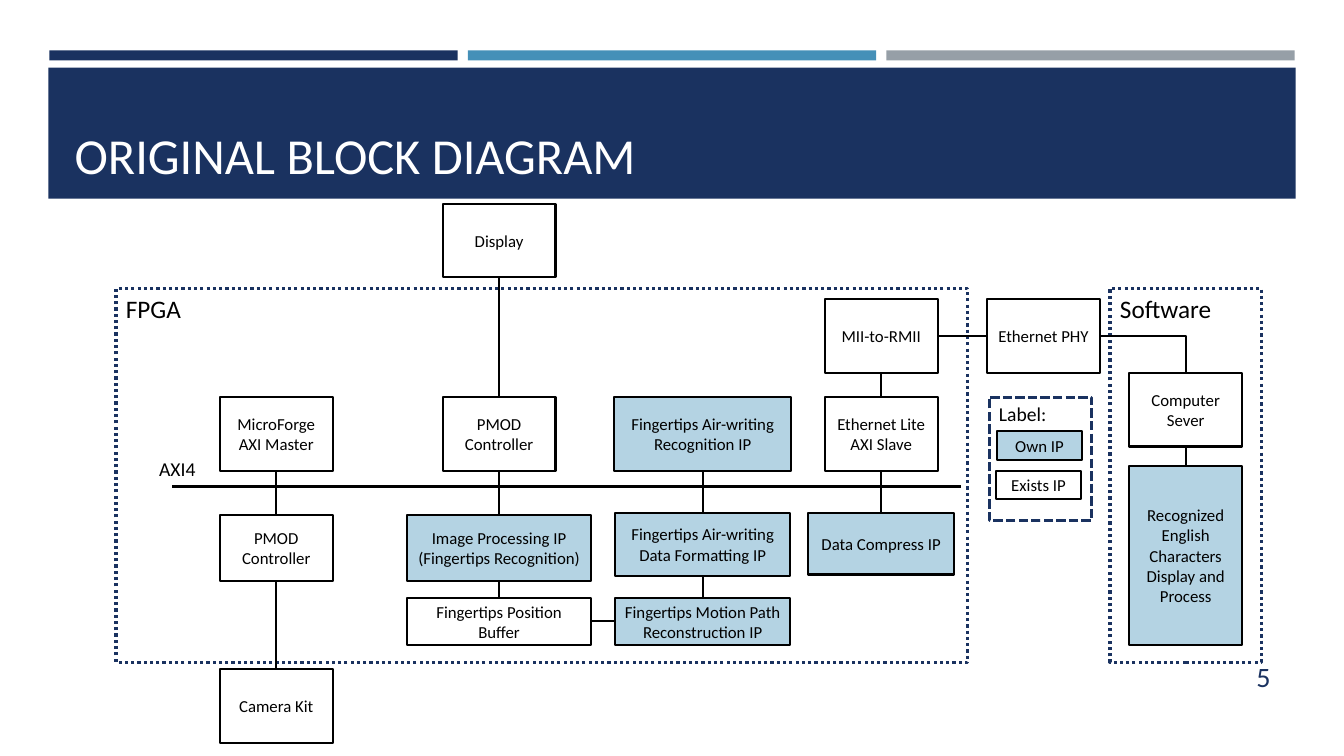
import pptx
import pptx.util
import pptx.dml.color
import pptx.enum.dml
import pptx.enum.shapes
import pptx.enum.text
import pptx.oxml.ns
import lxml.etree

Inches, Pt = pptx.util.Inches, pptx.util.Pt
ALIGN, ANCHOR = pptx.enum.text.PP_ALIGN, pptx.enum.text.MSO_ANCHOR
DASH = pptx.enum.dml.MSO_LINE
LINK = pptx.enum.shapes.MSO_CONNECTOR
NAVY, BLUE, GREY, LIGHT = "1A3260", "4590B8", "969FA7", "B4D3E3"
BLACK, WHITE = "000000", "FFFFFF"
TOP, LEFT, BOTTOM, RIGHT = range(4)


def rgb(color):
    return pptx.dml.color.RGBColor.from_string(color)


def write(sp, text, size, color=BLACK, align=ALIGN.LEFT, anchor=ANCHOR.TOP):
    tf = sp.text_frame
    tf.word_wrap = True
    tf.vertical_anchor = anchor
    for i, line in enumerate(text.split("\n")):
        p = tf.add_paragraph() if i else tf.paragraphs[0]
        p.alignment = align
        r = p.add_run()
        r.text = line
        r.font.name, r.font.size = "Calibri", Pt(size)
        r.font.color.rgb = rgb(color)


prs = pptx.Presentation()
prs.slide_width, prs.slide_height = Inches(13.33), Inches(7.5)
s = prs.slides.add_slide(prs.slide_layouts[5])

# Rectangles: left, top, width, height, fill, line colour, line width, dash, text
bands = [(0.49 + 4.15 * i, 0.5, 4.05, 0.1, fill, None, 0, None, "")
         for i, fill in enumerate((NAVY, BLUE, GREY))]
bands.append((0.48, 0.67, 12.37, 1.3, NAVY, None, 0, None, ""))
frames = [
    (1.15, 2.86, 8.45, 3.71, None, NAVY, 2.25, DASH.ROUND_DOT, ""),
    (11.01, 2.86, 1.5, 3.71, None, NAVY, 2.25, DASH.ROUND_DOT, ""),
    (9.81, 3.94, 1.02, 1.22, None, NAVY, 2.25, DASH.SQUARE_DOT, ""),
]

# Blocks of the diagram: centre x, top, width, height, fill, text
blocks = {
    "display": (4.95, 2.02, 1.12, 0.73, None, "Display"),
    "master": (2.74, 3.94, 1.12, 0.73, None, "MicroForge AXI Master"),
    "display_pmod": (4.95, 3.94, 1.12, 0.73, None, "PMOD Controller"),
    "recognition": (6.97, 3.94, 1.76, 0.73, LIGHT,
                    "Fingertips Air-writing Recognition IP"),
    "mii": (8.74, 2.97, 1.12, 0.73, None, "MII-to-RMII"),
    "ethernet": (8.74, 3.94, 1.12, 0.73, None, "Ethernet Lite\nAXI Slave"),
    "phy": (10.35, 2.97, 1.12, 0.73, None, "Ethernet PHY"),
    "camera_pmod": (2.74, 5.11, 1.12, 0.65, None, "PMOD Controller"),
    "camera": (2.74, 6.64, 1.12, 0.73, None, "Camera Kit"),
    "image": (4.95, 5.11, 1.82, 0.65, LIGHT,
              "Image Processing IP\n(Fingertips Recognition)"),
    "buffer": (4.95, 5.93, 1.82, 0.47, WHITE, "Fingertips Position Buffer"),
    "formatting": (6.97, 5.09, 1.74, 0.62, LIGHT,
                   "Fingertips Air-writing Data Formatting IP"),
    "motion": (6.97, 5.93, 1.74, 0.47, LIGHT,
               "Fingertips Motion Path Reconstruction IP"),
    "compress": (8.74, 5.09, 1.45, 0.61, LIGHT, "Data Compress IP"),
    "computer": (11.76, 3.7, 1.12, 0.73, None, "Computer Sever"),
    "process": (11.76, 4.62, 1.12, 1.78, LIGHT,
                "Recognized English Characters Display and Process"),
    "own": (10.31, 4.28, 0.85, 0.28, LIGHT, "Own IP"),
    "exists": (10.3, 4.67, 0.85, 0.28, None, "Exists IP"),
}
rects = bands + frames + [
    (cx - w / 2, top, w, h, fill, BLACK, 1.5, None, text)
    for cx, top, w, h, fill, text in blocks.values()]

drawn = []
for left, top, w, h, fill, line, weight, dash, text in rects:
    sp = s.shapes.add_shape(pptx.enum.shapes.MSO_SHAPE.RECTANGLE,
                            Inches(left), Inches(top), Inches(w), Inches(h))
    sp.shadow.inherit = False
    if fill:
        sp.fill.solid()
        sp.fill.fore_color.rgb = rgb(fill)
    else:
        sp.fill.background()
    if line:
        sp.line.color.rgb = rgb(line)
        sp.line.width = Pt(weight)
        sp.line.dash_style = dash
    else:
        sp.line.fill.background()
    if text:
        sp.text_frame.margin_left = sp.text_frame.margin_right = Inches(0.09)
        write(sp, text, 12, BLACK, ALIGN.CENTER, ANCHOR.MIDDLE)
    drawn.append(sp)
box = dict(zip(blocks, drawn[-len(blocks):]))

# Title, brought in front of its band
title = s.shapes.title
title.left, title.top = Inches(0.64), Inches(0.77)
title.width, title.height = Inches(12.06), Inches(1.11)
title.text_frame.auto_size = pptx.enum.text.MSO_AUTO_SIZE.NONE
write(title, "ORIGINAL BLOCK DIAGRAM", 36, WHITE, ALIGN.LEFT, ANCHOR.BOTTOM)
title.element.getparent().append(title.element)

# Captions and page number
for left, top, w, h, text, size, color, align, anchor in [
    (1.15, 2.86, 1.12, 0.26, "FPGA", 18, BLACK, ALIGN.LEFT, ANCHOR.TOP),
    (11.01, 2.86, 1.24, 0.36, "Software", 18, BLACK, ALIGN.LEFT, ANCHOR.TOP),
    (9.81, 3.94, 0.8, 0.34, "Label:", 14, BLACK, ALIGN.LEFT, ANCHOR.TOP),
    (1.48, 4.48, 0.7, 0.34, "AXI4", 14, BLACK, ALIGN.LEFT, ANCHOR.TOP),
    (11.55, 6.51, 1.15, 0.4, "5", 20, NAVY, ALIGN.RIGHT, ANCHOR.MIDDLE),
]:
    tb = s.shapes.add_textbox(Inches(left), Inches(top), Inches(w), Inches(h))
    write(tb, text, size, color, align, anchor)

# AXI4 bus, and the blocks that hang on it
BUS_Y = 4.83
bus = s.shapes.add_connector(LINK.STRAIGHT, Inches(1.71), Inches(BUS_Y),
                             Inches(9.53), Inches(BUS_Y))
lines = [bus]
for name, side in [("master", BOTTOM), ("camera_pmod", TOP),
                   ("recognition", BOTTOM), ("formatting", TOP),
                   ("ethernet", BOTTOM), ("compress", TOP)]:
    x = Inches(blocks[name][0])
    c = s.shapes.add_connector(LINK.STRAIGHT, x, Inches(BUS_Y), x, Inches(BUS_Y))
    c.begin_connect(box[name], side)
    lines.append(c)

# Links from block to block
for start, side, end, end_side in [
    ("display", BOTTOM, "display_pmod", TOP),
    ("display_pmod", BOTTOM, "image", TOP),
    ("image", BOTTOM, "buffer", TOP),
    ("motion", LEFT, "buffer", RIGHT),
    ("formatting", BOTTOM, "motion", TOP),
    ("camera_pmod", BOTTOM, "camera", TOP),
    ("mii", BOTTOM, "ethernet", TOP),
    ("phy", LEFT, "mii", RIGHT),
    ("computer", BOTTOM, "process", TOP),
    ("phy", RIGHT, "computer", TOP),
]:
    bent = (start, end) == ("phy", "computer")
    c = s.shapes.add_connector(LINK.ELBOW if bent else LINK.STRAIGHT, 0, 0, 0, 0)
    c.begin_connect(box[start], side)
    c.end_connect(box[end], end_side)
    if bent:
        c.element.spPr.find(pptx.oxml.ns.qn("a:prstGeom")).set("prst", "bentConnector2")
    lines.append(c)

for c in lines:
    c.line.color.rgb = rgb(BLACK)
    c.line.width = Pt(2.25 if c is bus else 1.5)
    lxml.etree.SubElement(c.element.spPr, pptx.oxml.ns.qn("a:effectLst"))

prs.save("out.pptx")
